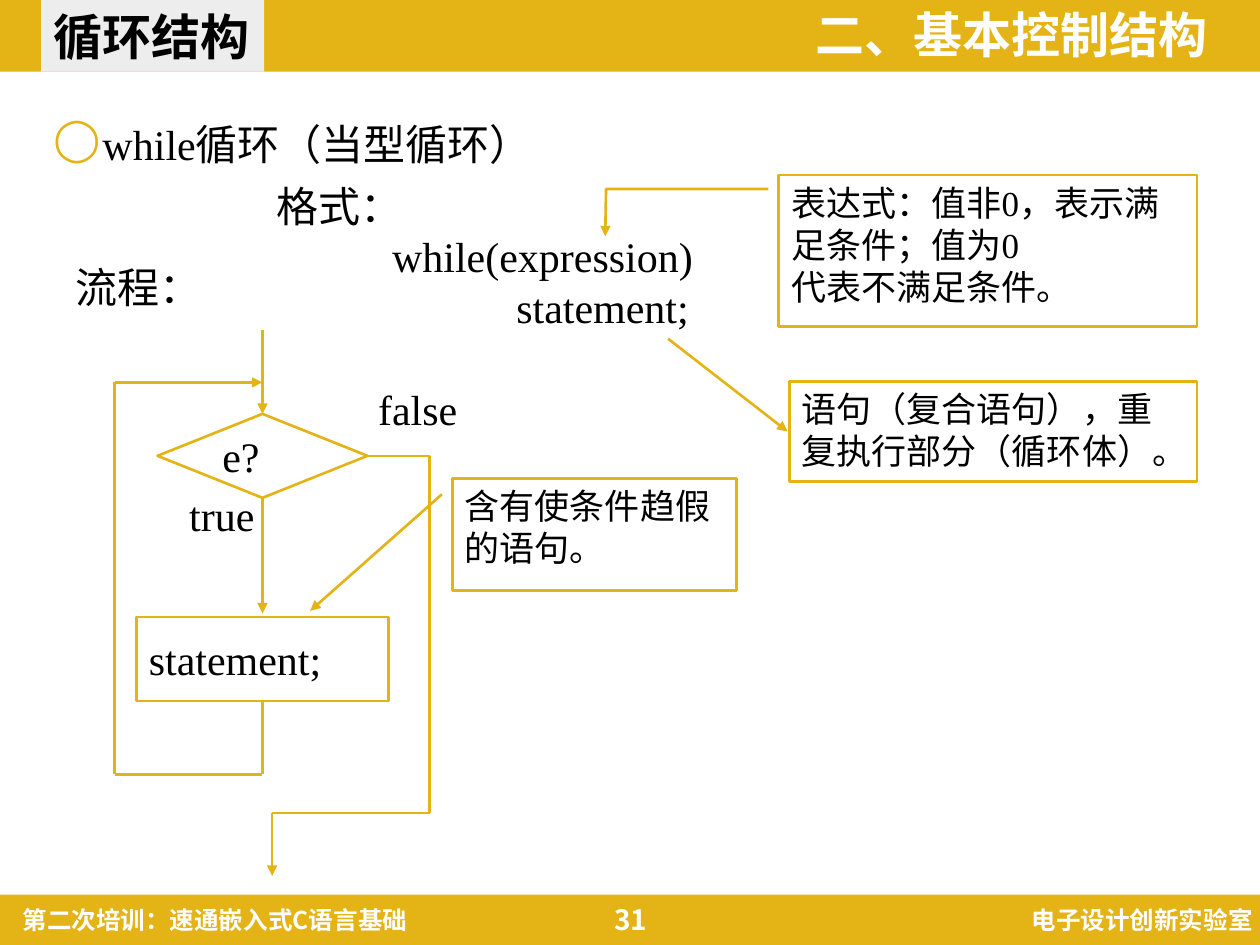
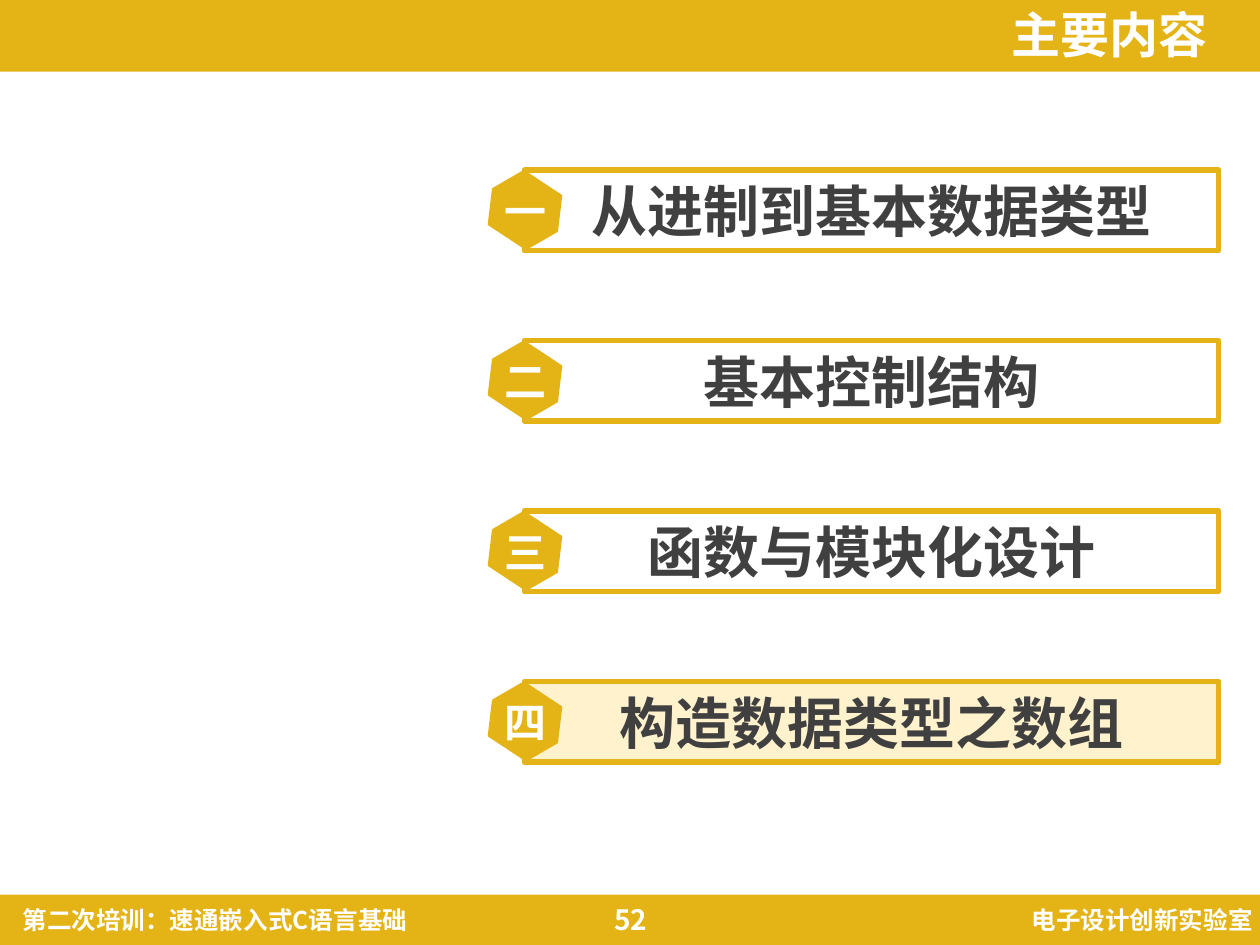
from lxml.etree import SubElement
from pptx import Presentation
from pptx.dml.color import RGBColor
from pptx.enum.shapes import MSO_CONNECTOR, MSO_SHAPE
from pptx.enum.text import MSO_ANCHOR, MSO_AUTO_SIZE, PP_ALIGN
from pptx.oxml.ns import qn
from pptx.util import Pt

GOLD = "E4B316"
CREAM = "FFF2CC"
PALE_GRAY = "EDEDED"
DARK_GRAY = "404040"
WHITE = "FFFFFF"
BLACK = "000000"
SANS = "Noto Sans CJK SC"
SERIF = "Times New Roman"
WIDTH, HEIGHT = 720, 540
BAND_HEIGHT = 41
FOOTER_TOP, FOOTER_HEIGHT = 511.2, 28.8
LINE_FACTOR = 1.2


def color(hex_string):
    return RGBColor.from_string(hex_string)


class Deck:
    def __init__(self):
        self.presentation = Presentation()
        self.presentation.slide_width = Pt(WIDTH)
        self.presentation.slide_height = Pt(HEIGHT)
        self.slide = None

    def new_slide(self, title, number):
        layout = self.presentation.slide_layouts[5]
        self.slide = self.presentation.slides.add_slide(layout)
        self.shape((0, 0, WIDTH, BAND_HEIGHT), fill=GOLD)
        self.shape((0, FOOTER_TOP, WIDTH, FOOTER_HEIGHT), fill=GOLD)
        footers = (
            (5.8, 287, "第二次培训：速通嵌入式C语言基础", 14, PP_ALIGN.LEFT),
            (316, 88.6, str(number), 16, PP_ALIGN.CENTER),
            (497, 226, "电子设计创新实验室", 14, PP_ALIGN.RIGHT),
        )
        for left, width, text, size, align in footers:
            self.heading((left, FOOTER_TOP, width, FOOTER_HEIGHT), text, size, align=align)
        self.title(title)

    def title(self, text):
        placeholder = self.slide.shapes.title
        placeholder.left, placeholder.top = Pt(316), Pt(5)
        placeholder.width, placeholder.height = Pt(381), Pt(33)
        element = placeholder._element
        element.getparent().append(element)
        self.set_text(placeholder, [text], 28, SANS, WHITE, PP_ALIGN.RIGHT, MSO_ANCHOR.MIDDLE)
        placeholder.text_frame.paragraphs[0].line_spacing = 0.9

    def set_text(self, shape, lines, size, font, text_color, align=PP_ALIGN.LEFT, anchor=MSO_ANCHOR.TOP):
        frame = shape.text_frame
        frame.text = "\n".join(lines)
        frame.word_wrap = True
        frame.auto_size = MSO_AUTO_SIZE.NONE
        frame.vertical_anchor = anchor
        for paragraph in frame.paragraphs:
            paragraph.alignment = align
            if font == SERIF:
                paragraph.line_spacing = Pt(size * LINE_FACTOR)
            for run in paragraph.runs:
                run.font.name = font
                run.font.size = Pt(size)
                run.font.bold = font == SANS
                run.font.color.rgb = color(text_color)
                SubElement(run._r.get_or_add_rPr(), qn("a:ea"), typeface=SANS)

    def shape(self, box, preset=MSO_SHAPE.RECTANGLE, fill=None, line=None, weight=1.5):
        shape = self.slide.shapes.add_shape(preset, *map(Pt, box))
        shape.shadow.inherit = False
        if fill:
            shape.fill.solid()
            shape.fill.fore_color.rgb = color(fill)
        else:
            shape.fill.background()
        if line:
            shape.line.color.rgb = color(line)
            shape.line.width = Pt(weight)
        else:
            shape.line.fill.background()
        return shape

    def heading(self, box, text, size, text_color=WHITE, align=PP_ALIGN.CENTER):
        shape = self.slide.shapes.add_textbox(*map(Pt, box))
        self.set_text(shape, [text], size, SANS, text_color, align, MSO_ANCHOR.MIDDLE)

    def label(self, box, *lines):
        shape = self.slide.shapes.add_textbox(*map(Pt, box))
        self.set_text(shape, lines, 24, SERIF, BLACK)
        return shape.text_frame.paragraphs

    def flow_box(self, box, preset, text):
        shape = self.shape(box, preset, line=GOLD)
        self.set_text(shape, [text], 24, SERIF, BLACK, anchor=MSO_ANCHOR.MIDDLE)
        return shape

    def callout(self, box, preset, adjustments, arrow_end, *lines):
        shape = self.shape(box, preset, line=GOLD)
        for index, value in enumerate(adjustments):
            shape.adjustments[index] = value
        self.arrowhead(shape, arrow_end)
        self.set_text(shape, lines, 20, SERIF, BLACK)

    def arrowhead(self, shape, end):
        SubElement(shape.line._get_or_add_ln(), qn(f"a:{end}"), type="triangle")

    def route(self, *points, arrow=False, start=None, finish=None):
        connectors = []
        for begin, end in zip(points, points[1:]):
            connector = self.slide.shapes.add_connector(
                MSO_CONNECTOR.STRAIGHT, *map(Pt, begin + end))
            connector.line.color.rgb = color(GOLD)
            connector.line.width = Pt(1.5)
            SubElement(connector._element.spPr, qn("a:effectLst"))
            connectors.append(connector)
        if start:
            connectors[0].begin_connect(*start)
        if finish:
            connectors[-1].end_connect(*finish)
        if arrow:
            self.arrowhead(connectors[-1], "tailEnd")

    def bullet(self, paragraph, character, indent):
        properties = paragraph._p.get_or_add_pPr()
        properties.set("marL", str(Pt(indent)))
        properties.set("indent", str(-Pt(indent)))
        bullet_color = SubElement(properties, qn("a:buClr"))
        SubElement(bullet_color, qn("a:srgbClr"), val=GOLD)
        SubElement(properties, qn("a:buChar"), char=character)


def build_while_loop(deck):
    deck.new_slide("二、基本控制结构", 31)
    tab = deck.shape((23.5, 0, 127.5, BAND_HEIGHT), fill=PALE_GRAY)
    deck.set_text(tab, ["循环结构"], 28, SANS, BLACK, anchor=MSO_ANCHOR.MIDDLE)

    topic = deck.label((23.5, 61, 287.5, 41), "while循环（当型循环）")[0]
    deck.bullet(topic, "◯", 28)
    topic.line_spacing = Pt(32)

    syntax = deck.label((151, 99.5, 263, 95), "格式：", "while(expression)", "statement;")
    for paragraph, indent in zip(syntax, (0, 66, 137)):
        paragraph._p.get_or_add_pPr().set("marL", str(Pt(indent)))

    deck.callout((445, 100, 239, 86.5), MSO_SHAPE.LINE_CALLOUT_2,
                 (0.093, -0.025, 0.093, -0.413, 0.405, -0.415), "tailEnd",
                 "表达式：值非0，表示满足条件；值为0", "代表不满足条件。")
    deck.callout((451, 218, 233, 57), MSO_SHAPE.LINE_CALLOUT_1,
                 (0.501, -0.004, -0.429, -0.297), "headEnd",
                 "语句（复合语句），重复执行部分（循环体）。")
    deck.callout((258.5, 273.5, 162.5, 64), MSO_SHAPE.LINE_CALLOUT_1,
                 (0.141, -0.037, 1.182, -0.5), "tailEnd",
                 "含有使条件趋假的语句。")

    deck.label((36, 146, 87, 37), "流程：")
    deck.label((101, 276, 60, 37), "true")
    deck.label((209, 215.5, 65, 37), "false")

    decision = deck.flow_box((90, 236.5, 120, 48), MSO_SHAPE.FLOWCHART_DECISION, "e?")
    statement = deck.flow_box((78, 352.5, 144, 48), MSO_SHAPE.FLOWCHART_PROCESS, "statement;")

    axis, loop_left, exit_right, exit_axis = 150, 65.5, 245.5, 155.5
    loop_top, loop_bottom, exit_bottom = 218.5, 442.5, 464.5
    deck.route((axis, 188.5), (axis, 236.5), arrow=True, finish=(decision, 0))
    deck.route((axis, 284.5), (axis, 350.5), arrow=True, start=(decision, 2))
    deck.route((axis, 400.5), (axis, loop_bottom), (loop_left, loop_bottom),
               (loop_left, loop_top), (axis, loop_top), arrow=True, start=(statement, 2))
    deck.route((210, 260.5), (exit_right, 260.5), (exit_right, exit_bottom),
               (exit_axis, exit_bottom), (exit_axis, 500.5), arrow=True, start=(decision, 3))


def build_contents(deck):
    deck.new_slide("主要内容", 52)
    chapters = ("从进制到基本数据类型", "基本控制结构", "函数与模块化设计", "构造数据类型之数组")
    current = 3
    first_top, pitch = 97.2, 97.4
    for index, (numeral, chapter) in enumerate(zip("一二三四", chapters)):
        top = first_top + index * pitch
        fill = CREAM if index == current else None
        bar = deck.shape((299.5, top, 397, 46), fill=fill, line=GOLD, weight=3)
        deck.set_text(bar, [chapter], 32, SANS, DARK_GRAY, PP_ALIGN.CENTER, MSO_ANCHOR.MIDDLE)
        badge = deck.shape((278, top + 4.5, 44, 36.7), MSO_SHAPE.HEXAGON, GOLD, GOLD, 1)
        badge.rotation = 33.4
        deck.heading((281, top + 5, 37, 36), numeral, 24, align=PP_ALIGN.LEFT)


def main():
    deck = Deck()
    build_while_loop(deck)
    build_contents(deck)
    deck.presentation.save("out.pptx")


if __name__ == "__main__":
    main()
